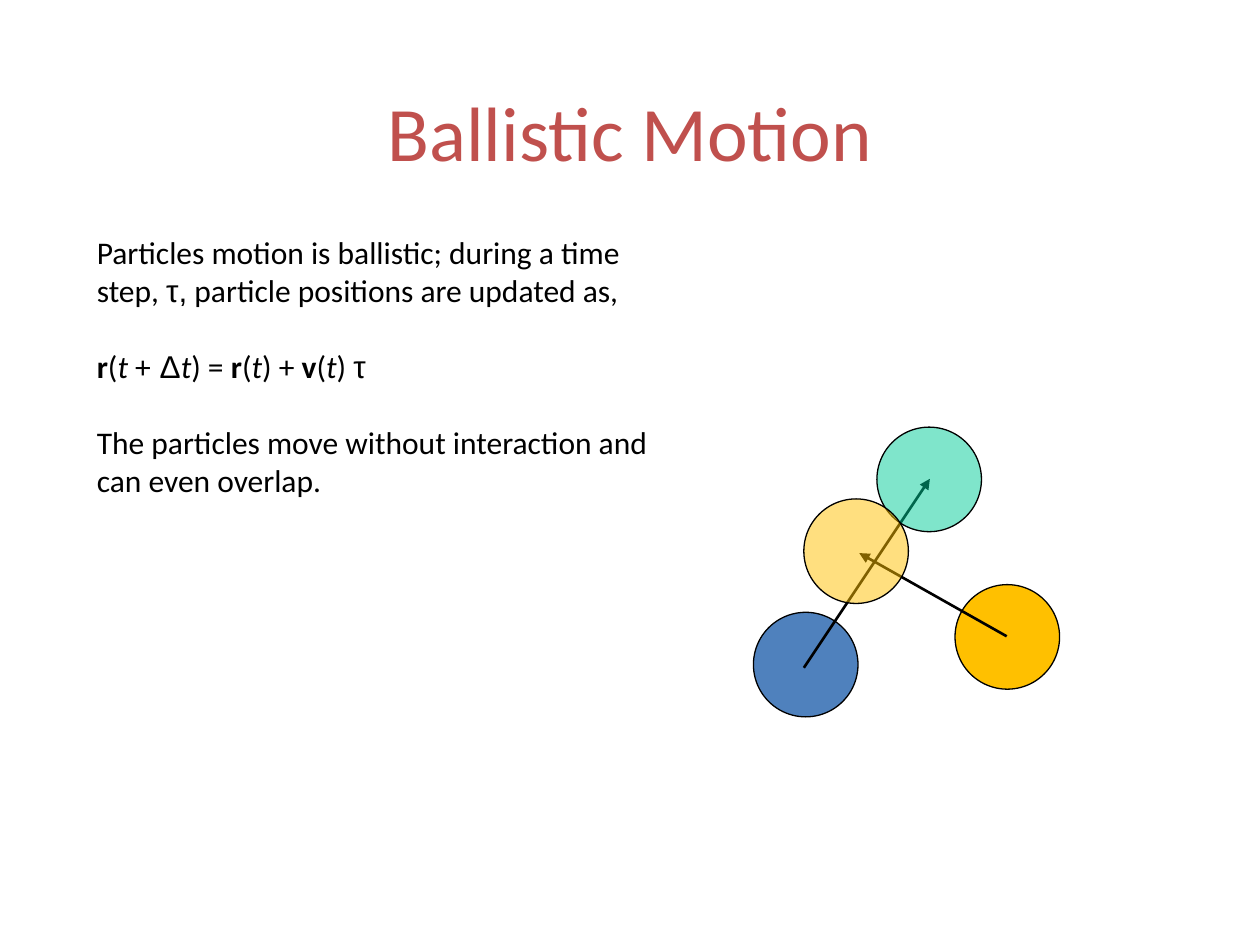
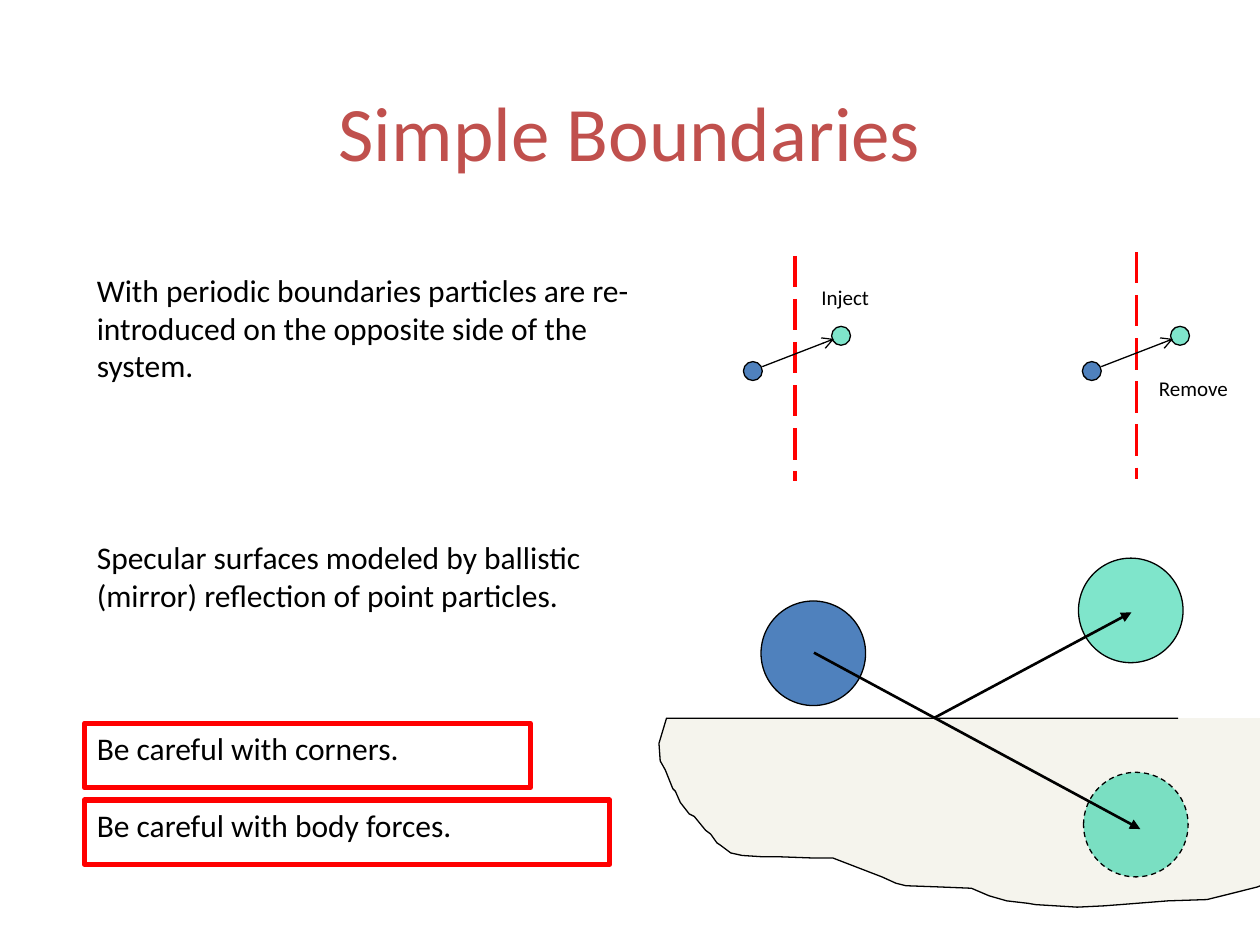
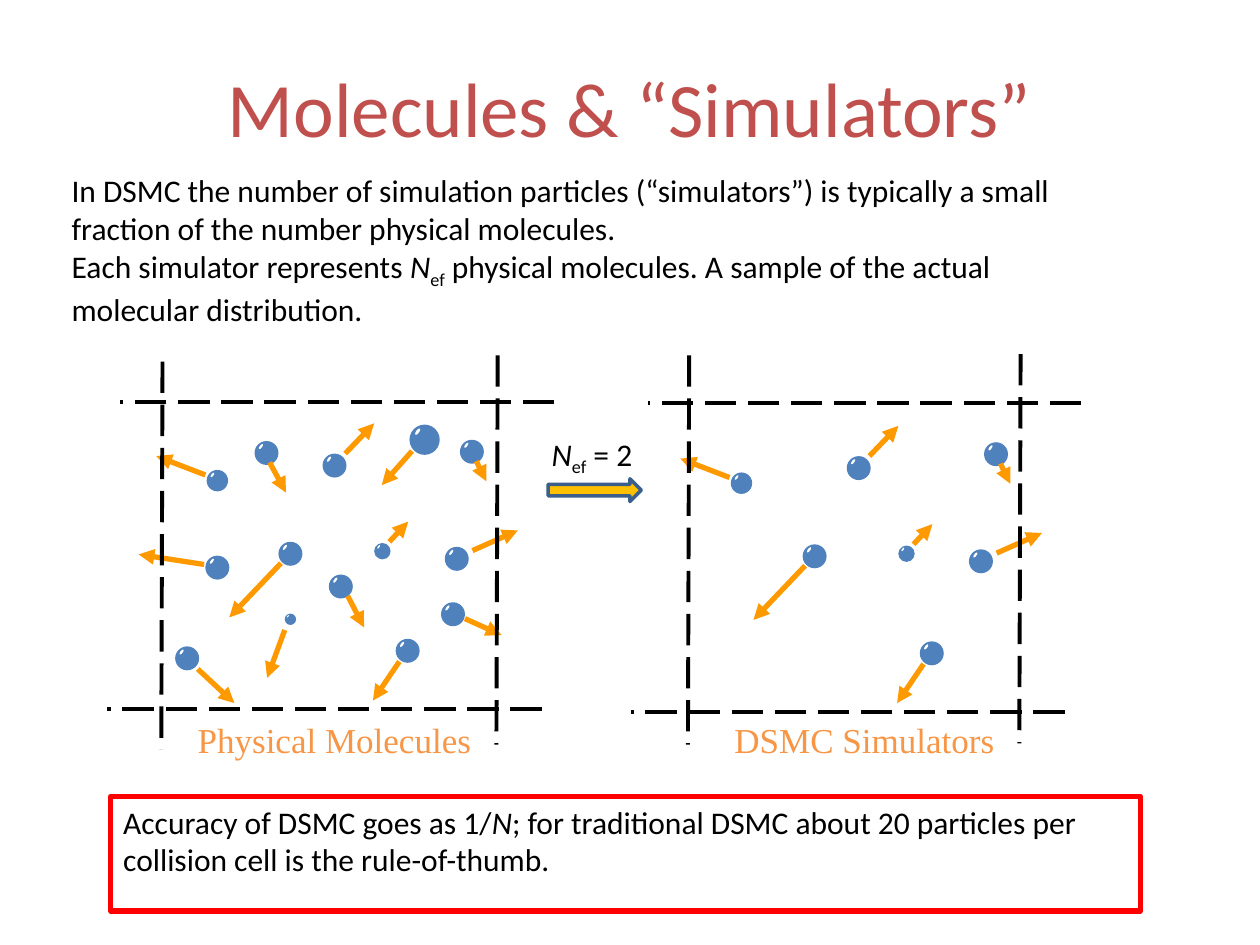
from lxml.etree import SubElement
from pptx import Presentation
from pptx.dml.color import RGBColor
from pptx.enum.dml import MSO_LINE
from pptx.enum.shapes import MSO_CONNECTOR, MSO_SHAPE
from pptx.enum.text import MSO_ANCHOR, PP_ALIGN
from pptx.oxml.ns import qn
from pptx.util import Pt

PX = 9144  # EMU in one px, 100 px to the inch

BLACK, WHITE, RED = "000000", "FFFFFF", "FF0000"
TITLE_RED, BLUE, GOLD, GREEN = "C0504D", "4F81BD", "FFC000", "00CC99"
ARROW_ORANGE, LABEL_ORANGE = "FF9900", "F79646"
SURFACE, ARROW_EDGE = "F5F4ED", "3A5F8C"

# Styles of single runs
BOLD, ITALIC, SUBSCRIPT, GREEK = "bold", "italic", "subscript", "greek"

PARTICLE = 83  # diameter of a large particle
DOT = 15       # diameter of a small particle

# Outline of the rough solid below the specular surface
SURFACE_OUTLINE = [
    (935, 570), (529, 570), (523, 590), (524, 604), (528, 611), (534, 626),
    (536, 628), (540, 637), (547, 646), (551, 648), (560, 659), (564, 662),
    (569, 669), (572, 671), (580, 677), (589, 679), (605, 680), (618, 680),
    (645, 681), (661, 681), (700, 696), (711, 701), (719, 703), (746, 704),
    (771, 705), (785, 711), (799, 715), (816, 717), (822, 718), (855, 720),
    (876, 719), (889, 718), (927, 715), (958, 714), (974, 710), (998, 704),
    (1010, 699), (1027, 692), (1040, 686), (1043, 682), (1057, 668),
    (1063, 659), (1070, 620), (1074, 604), (1072, 579), (1072, 570),
]

# Molecules: left, top, diameter, velocity start, velocity end
SAMPLED_MOLECULES = [
    (314, 507, 19, (317, 525), (296, 556)),
    (353, 434, 19, (375, 437), (411, 421)),
    (221, 430, 19, (223, 447), (182, 490)),
    (164, 373, 17, (163, 377), (124, 362)),
    (365, 349, 19, (378, 366), (386, 382)),
    (256, 360, 19, (274, 360), (297, 336)),
    (297, 431, 13, (309, 430), (324, 414)),
]
OTHER_MOLECULES = [
    (202, 350, 19, (214, 367), (227, 391)),
    (163, 441, 19, (162, 448), (110, 440)),
    (261, 456, 19, (276, 473), (289, 498)),
    (350, 478, 19, (369, 491), (398, 504)),
    (226, 487, 9, (226, 500), (212, 538)),
    (325, 337, 24, (327, 358), (303, 385)),
    (139, 513, 19, (157, 531), (186, 558)),
]
SIMULATOR_SHIFT = (416, 2)

CELL_WALLS = [
    ((129, 287), (128, 595)), ((395, 282), (394, 591)),
    ((440, 319), (95, 319)), ((430, 563), (85, 563)),
    ((547, 282), (546, 591)), ((810, 281), (809, 590)),
    ((858, 320), (514, 320)), ((845, 565), (501, 565)),
]


def px(*lengths):
    return [round(length * PX) for length in lengths]


def color(hex_string):
    return RGBColor.from_string(hex_string)


# Text

def write_text(shape, paragraphs, size=18, font="Calibri", text_color=BLACK,
               align=PP_ALIGN.LEFT, anchor=MSO_ANCHOR.TOP, wrap=True, gap=0):
    """Each paragraph is a list of plain strings and (text, style) pairs."""
    frame = shape.text_frame
    frame.word_wrap = wrap
    frame.vertical_anchor = anchor
    for index, parts in enumerate(paragraphs):
        paragraph = frame.add_paragraph() if index else frame.paragraphs[0]
        paragraph.alignment = align
        if index and gap:
            paragraph.space_before = Pt(gap)
        paragraph.font.size = Pt(size)
        paragraph.font.name = font
        paragraph.font.color.rgb = color(text_color)
        for part in parts:
            text, style = (part, None) if isinstance(part, str) else part
            run = paragraph.add_run()
            run.text = text
            if style == BOLD:
                run.font.bold = True
            elif style == ITALIC:
                run.font.italic = True
            elif style == GREEK:
                run.font.name = "Arial"
            elif style == SUBSCRIPT:
                run._r.get_or_add_rPr().set("baseline", "-25000")


def add_text(slide, box, paragraphs, **style):
    write_text(slide.shapes.add_textbox(*px(*box)), paragraphs, **style)


def add_title(slide, text, top=41):
    add_text(slide, (75, top, 850, 125), [[text]], size=44,
             text_color=TITLE_RED, align=PP_ALIGN.CENTER,
             anchor=MSO_ANCHOR.MIDDLE)


# Shapes and lines

def style_shape(shape, fill=None, line=None, width=0.75, alpha=None):
    shape.shadow.inherit = False
    if fill:
        shape.fill.solid()
        shape.fill.fore_color.rgb = color(fill)
    else:
        shape.fill.background()
    if alpha:
        fill_color = shape._element.spPr.find(qn("a:solidFill"))[0]
        SubElement(fill_color, qn("a:alpha")).set("val", str(alpha * 1000))
    if line:
        shape.line.color.rgb = color(line)
        shape.line.width = Pt(width)
    else:
        shape.line.fill.background()


def add_shape(slide, kind, box, **style):
    shape = slide.shapes.add_shape(kind, *px(*box))
    style_shape(shape, **style)
    return shape


def add_circle(slide, left, top, diameter, fill, line=BLACK, alpha=None):
    return add_shape(slide, MSO_SHAPE.OVAL, (left, top, diameter, diameter),
                     fill=fill, line=line, alpha=alpha)


def add_red_box(slide, box, parts):
    shape = add_shape(slide, MSO_SHAPE.RECTANGLE, box, line=RED, width=3)
    write_text(shape, [parts])


def add_line(slide, start, end, line_color=BLACK, width=1.5, dash=None,
             head=None):
    connector = slide.shapes.add_connector(MSO_CONNECTOR.STRAIGHT,
                                           *px(*start, *end))
    connector.line.color.rgb = color(line_color)
    connector.line.width = Pt(width)
    if dash:
        connector.line.dash_style = dash
    properties = connector._element.spPr
    if head:
        outline = properties.find(qn("a:ln"))
        SubElement(outline, qn("a:tailEnd")).set("type", head)
    SubElement(properties, qn("a:effectLst"))


def add_arrow(slide, start, end, head="triangle", **style):
    add_line(slide, start, end, head=head, **style)


def add_surface(slide):
    builder = slide.shapes.build_freeform(*SURFACE_OUTLINE[0], scale=PX)
    builder.add_line_segments(SURFACE_OUTLINE[1:], close=False)
    style_shape(builder.convert_to_shape(), fill=SURFACE, line=BLACK)


def add_periodic_crossing(slide, left):
    add_circle(slide, left, 287, DOT, BLUE)
    add_circle(slide, left + 70, 259, DOT, GREEN, alpha=50)
    add_arrow(slide, (left + 15, 291), (left + 72, 269), head="arrow",
              width=0.75)


def add_molecules(slide, molecules, shift=(0, 0)):
    right, down = shift
    for left, top, diameter, start, end in molecules:
        left, top = left + right, top + down
        add_circle(slide, left, top, diameter, BLUE, line=None)
        highlight = add_shape(
            slide, MSO_SHAPE.OVAL,
            (left + 0.22 * diameter, top + 0.11 * diameter,
             0.1 * diameter, 0.25 * diameter), fill=WHITE)
        highlight.rotation = 36.2
        add_arrow(slide, (start[0] + right, start[1] + down),
                  (end[0] + right, end[1] + down),
                  line_color=ARROW_ORANGE, width=3)


# Slides

def build_ballistic_motion(slide):
    add_title(slide, "Ballistic Motion")
    add_circle(slide, 598, 486, PARTICLE, BLUE)
    add_circle(slide, 758, 464, PARTICLE, GOLD)
    add_arrow(slide, (638, 530), (738, 380))
    add_arrow(slide, (799, 505), (682, 439))
    add_circle(slide, 696, 339, PARTICLE, GREEN, alpha=50)
    add_circle(slide, 638, 396, PARTICLE, GOLD, alpha=50)
    add_text(slide, (67, 180, 480, 333), [
        ["Particles motion is ballistic; during a time step, ", ("τ,", GREEK),
         " particle positions are updated as,"],
        [("r", BOLD), "(", ("t", ITALIC), " +", (" Δ", GREEK), ("t", ITALIC),
         ") = ", ("r", BOLD), "(", ("t", ITALIC), ") + ", ("v", BOLD), "(",
         ("t", ITALIC), ") ", ("τ", GREEK)],
        ["The particles move without interaction and can even overlap."],
    ], gap=22)


def build_simple_boundaries(slide):
    add_surface(slide)
    add_title(slide, "Simple Boundaries")
    add_text(slide, (67, 210, 480, 131), [
        ["With periodic boundaries particles are re-introduced on the "
         "opposite side of the system."]])
    add_text(slide, (67, 422, 432, 131), [
        ["Specular surfaces modeled by ballistic (mirror) reflection of "
         "point particles."]])

    # Specular reflection
    add_circle(slide, 604, 477, PARTICLE, BLUE)
    add_circle(slide, 856, 443, PARTICLE, GREEN, alpha=50)
    mirrored = add_circle(slide, 860, 613, PARTICLE, GREEN, alpha=50)
    mirrored.line.dash_style = MSO_LINE.DASH
    add_arrow(slide, (646, 518), (905, 658))
    add_arrow(slide, (741, 570), (898, 486))

    # Periodic boundaries
    for x, top, bottom in ((902, 200, 380), (631, 203, 382)):
        add_line(slide, (x, top), (x, bottom), line_color=RED, width=2.25,
                 dash=MSO_LINE.LONG_DASH)
    for left in (859, 590):
        add_periodic_crossing(slide, left)
    add_text(slide, (910, 293, 76, 30), [["Remove"]], size=12, wrap=False)
    add_text(slide, (642, 221, 59, 30), [["Inject"]], size=12, wrap=False)

    # Warnings
    add_red_box(slide, (67, 574, 354, 51), ["Be careful with corners."])
    add_red_box(slide, (67, 635, 417, 51), ["Be careful with body forces."])


def build_molecules_and_simulators(slide):
    add_title(slide, "Molecules & “Simulators”", top=22)
    add_molecules(slide, SAMPLED_MOLECULES + OTHER_MOLECULES)
    add_molecules(slide, SAMPLED_MOLECULES, SIMULATOR_SHIFT)
    for start, end in CELL_WALLS:
        add_line(slide, start, end, width=2.25, dash=MSO_LINE.LONG_DASH)

    # Labels of the two cells
    for left, width, label in ((147, 239, "Physical Molecules"),
                               (573, 228, "DSMC Simulators")):
        add_text(slide, (left, 565, width, 44), [[label]], size=20,
                 font="Times New Roman", text_color=LABEL_ORANGE, wrap=False)

    # Explanation and ratio
    effective_number = [("N", ITALIC), ("ef", SUBSCRIPT)]
    add_text(slide, (47, 131, 856, 131), [
        ["In DSMC the number of simulation particles (“simulators”) is "
         "typically a small fraction of the number physical molecules."],
        ["Each simulator represents ", *effective_number,
         " physical molecules. A sample of the actual molecular "
         "distribution."],
    ])
    add_text(slide, (428, 340, 90, 40), [[*effective_number, " = 2"]],
             wrap=False)
    add_shape(slide, MSO_SHAPE.RIGHT_ARROW, (435, 380, 74, 18), fill=GOLD,
              line=ARROW_EDGE, width=2)
    add_red_box(slide, (88, 632, 817, 91), [
        "Accuracy of DSMC goes as 1/", ("N", ITALIC),
        "; for traditional DSMC about 20 particles per collision cell is "
        "the rule-of-thumb."])


def main():
    presentation = Presentation()
    presentation.slide_width, presentation.slide_height = px(1000, 750)
    blank = presentation.slide_layouts[6]
    for build in (build_ballistic_motion, build_simple_boundaries,
                  build_molecules_and_simulators):
        build(presentation.slides.add_slide(blank))
    presentation.save("out.pptx")


if __name__ == "__main__":
    main()
